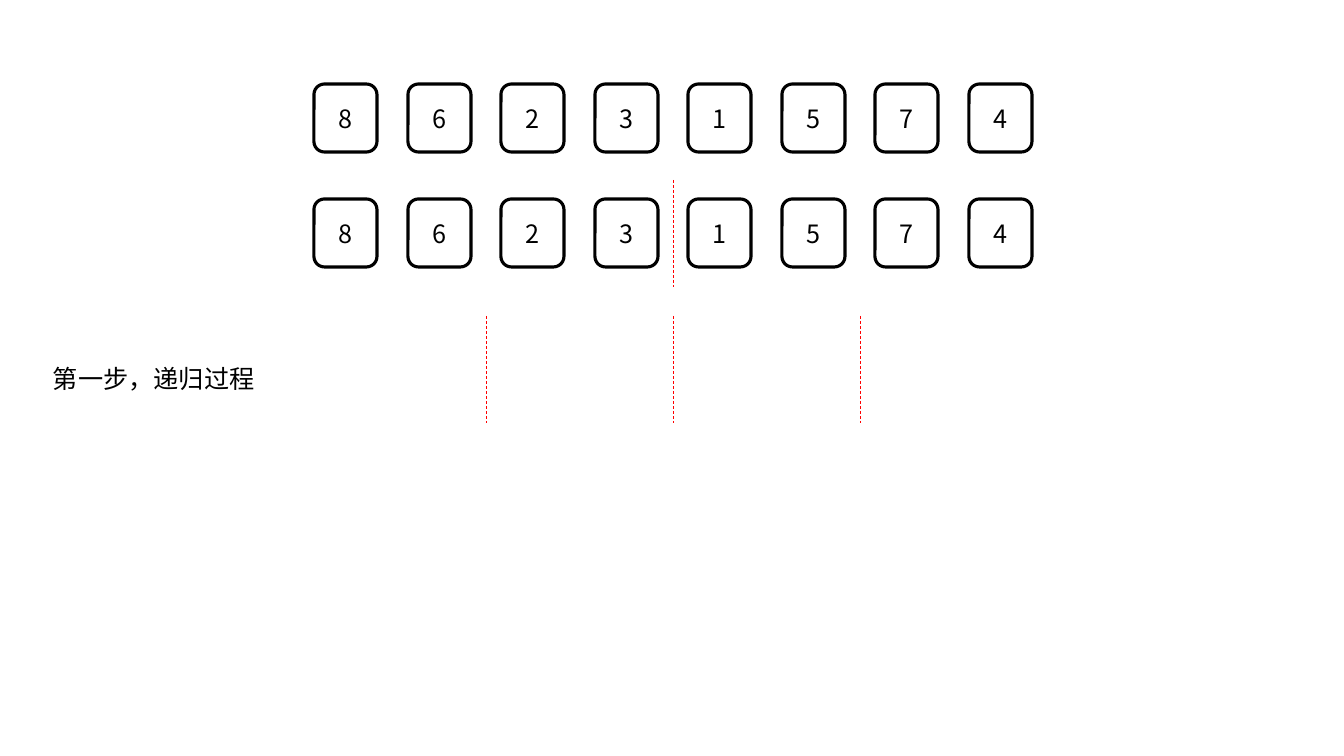
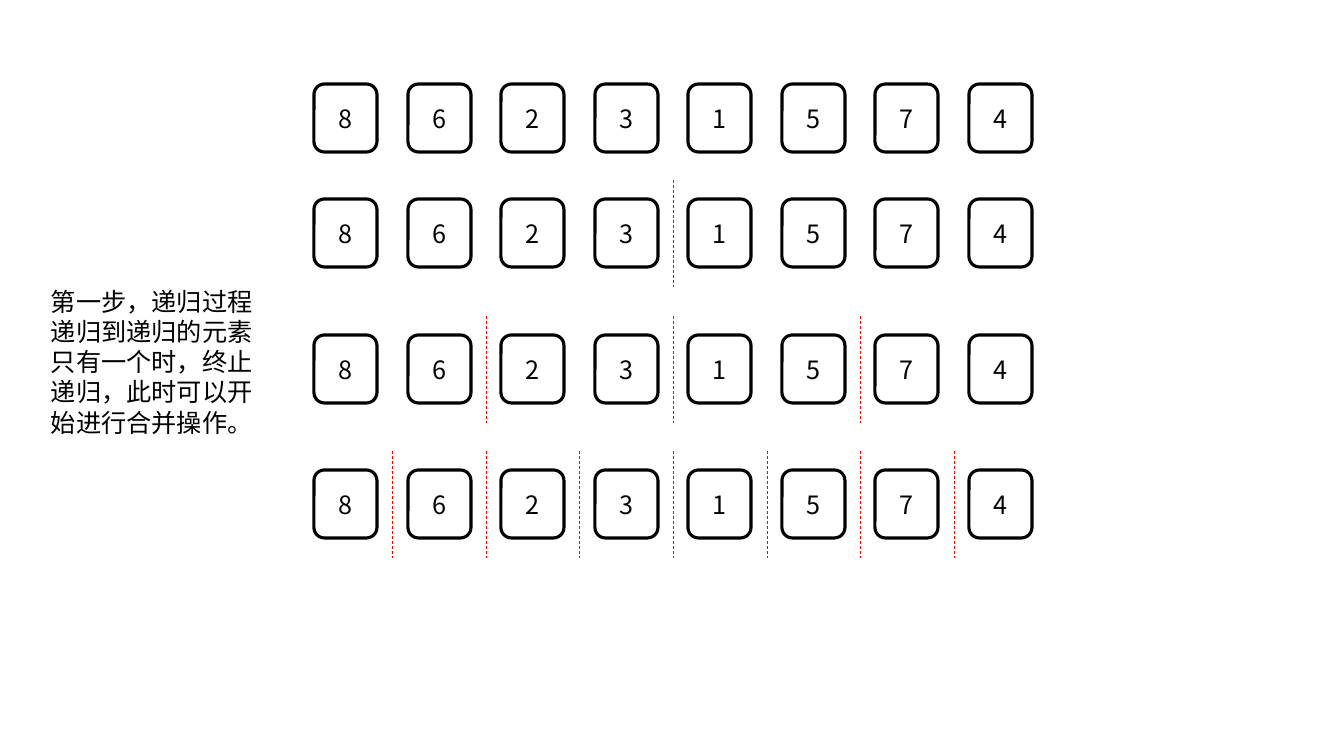
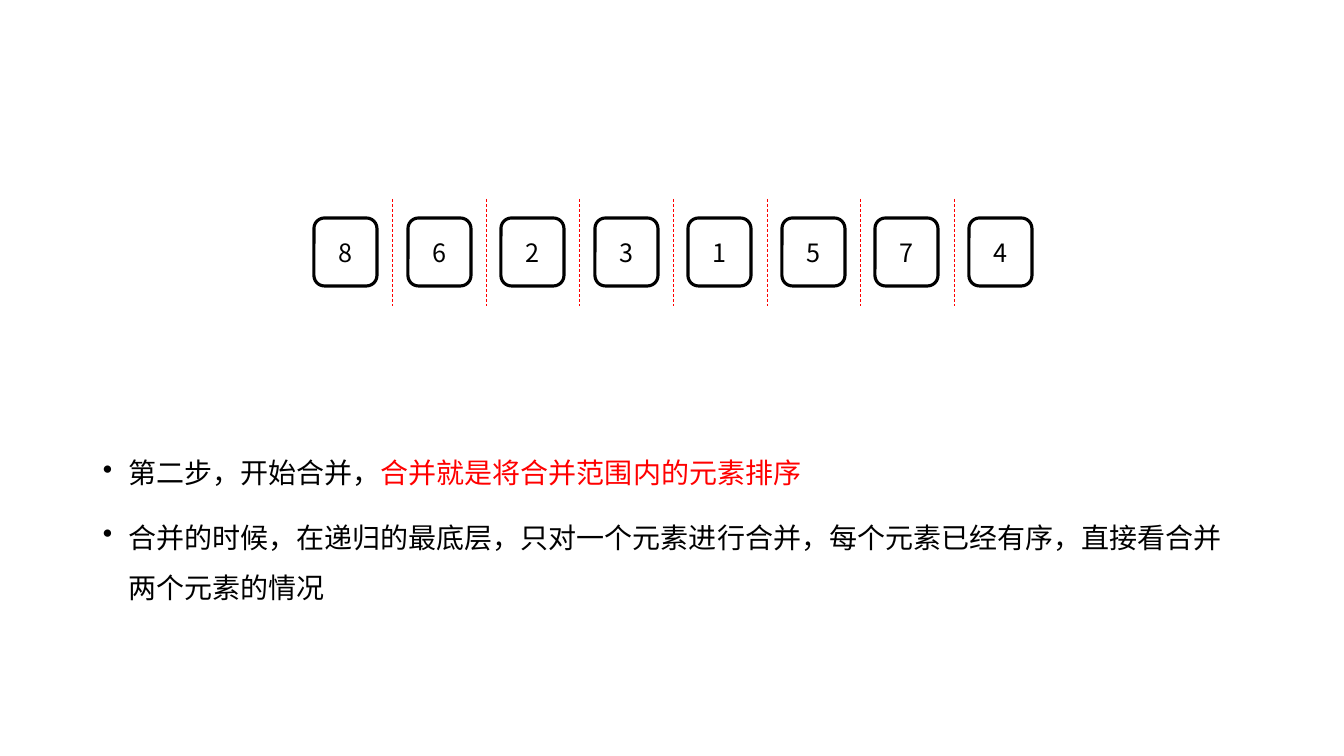
from lxml import etree
from pptx import Presentation
from pptx.dml.color import RGBColor
from pptx.enum.dml import MSO_LINE
from pptx.enum.shapes import MSO_CONNECTOR, MSO_SHAPE
from pptx.enum.text import MSO_ANCHOR, PP_ALIGN
from pptx.oxml.ns import qn
from pptx.util import Emu, Pt

ROUNDED = MSO_SHAPE.ROUNDED_RECTANGLE
STRAIGHT = MSO_CONNECTOR.STRAIGHT
DASH = MSO_LINE.DASH
MIDDLE = MSO_ANCHOR.MIDDLE
CENTER = PP_ALIGN.CENTER

# Shared style, lengths in px
WIDTH, HEIGHT = 1344, 756
EMU_PER_PX = 12192000 / WIDTH
FONT = "Noto Sans CJK SC"
COLORS = {"ink": "000000", "accent": "FF0000"}

# Array grid: eight boxes spread evenly between two edges
VALUES = "86231574"
BOX_W, BOX_H = 63, 68
ROW_LEFT, ROW_RIGHT = 314, 1032
PITCH = (ROW_RIGHT - ROW_LEFT - BOX_W) / (len(VALUES) - 1)
SPLIT_H = 107
ROW_TOPS = [84, 199, 335, 470]
HALVES, QUARTERS, SINGLES = [4], [2, 4, 6], range(1, len(VALUES))


def px(n):
    return Emu(round(n * EMU_PER_PX))


def rgb(name):
    return RGBColor.from_string(COLORS[name])


class Deck:
    def __init__(self):
        self.prs = Presentation()
        self.prs.slide_width, self.prs.slide_height = px(WIDTH), px(HEIGHT)
        self.s = None

    def slide(self):
        self.s = self.prs.slides.add_slide(self.prs.slide_layouts[6])

    def style(self, p, size):
        p.font.name, p.font.size = FONT, Pt(size)
        p.font.color.rgb = rgb("ink")

    def row(self, top):
        """One group of boxes holding the array."""
        group = self.s.shapes.add_group_shape()
        for i, value in enumerate(VALUES):
            left = round(ROW_LEFT + i * PITCH)
            sp = group.shapes.add_shape(ROUNDED, px(left), px(top), px(BOX_W), px(BOX_H))
            sp.shadow.inherit = False
            sp.fill.background()
            sp.line.color.rgb = rgb("ink")
            sp.line.width = Pt(2.25)
            tf = sp.text_frame
            tf.vertical_anchor = MIDDLE
            p = tf.paragraphs[0]
            p.text, p.alignment = value, CENTER
            self.style(p, 18)

    def splits(self, row_top, gaps):
        """Dashed lines centred in the gaps before the given box indexes."""
        top = row_top - (SPLIT_H - BOX_H) // 2
        for gap in gaps:
            x = round(ROW_LEFT + gap * PITCH - (PITCH - BOX_W) / 2)
            line = self.s.shapes.add_connector(STRAIGHT, px(x), px(top), px(x), px(top + SPLIT_H))
            line.line.color.rgb = rgb("accent")
            line.line.width = Pt(0.5)
            line.line.dash_style = DASH
            etree.SubElement(line._element.spPr, qn("a:effectLst"))

    def text(self, left, top, width, height, paragraphs, size=18, bullets=False):
        """Each paragraph is a list of (text, colour name) runs."""
        tf = self.s.shapes.add_textbox(px(left), px(top), px(width), px(height)).text_frame
        tf.word_wrap = True
        for i, runs in enumerate(paragraphs):
            p = tf.add_paragraph() if i else tf.paragraphs[0]
            self.style(p, size)
            for words, color in runs:
                r = p.add_run()
                r.text = words
                if color != "ink":
                    r.font.color.rgb = rgb(color)
            if bullets:
                self.bullet(p)

    def bullet(self, p):
        p.line_spacing, p.space_before = 1.5, Pt(10)
        pPr = p._p.get_or_add_pPr()
        pPr.set("marL", "228600")
        pPr.set("indent", "-228600")
        mark = etree.Element(qn("a:buChar"), char="•")
        pPr.find(qn("a:defRPr")).addprevious(mark)


def main():
    deck = Deck()
    first, second, third, fourth = ROW_TOPS
    step_one = [("第一步，递归过程", "ink")]

    # Slide 1: start of the recursion
    deck.slide()
    for top in (first, second):
        deck.row(top)
    deck.splits(second, HALVES)
    deck.splits(third, QUARTERS)
    deck.text(43, 358, 232, 40, [step_one])

    # Slide 2: recursion down to single elements
    deck.slide()
    for top in ROW_TOPS:
        deck.row(top)
    for top, gaps in ((second, HALVES), (third, QUARTERS), (fourth, SINGLES)):
        deck.splits(top, gaps)
    deck.text(41, 281, 229, 194, [
        step_one,
        [("递归到递归的元素只有一个时，终止递归，此时可以开始进行合并操作。", "ink")],
    ])

    # Slide 3: start of the merge
    deck.slide()
    merge_top = 218
    deck.row(merge_top)
    deck.splits(merge_top, SINGLES)
    deck.text(93, 434, 1159, 281, [
        [("第二步，开始合并，", "ink"), ("合并就是将合并范围内的元素排序", "accent")],
        [("合并的时候，在递归的最底层，只对一个元素进行合并，每个元素已经有序，"
          "直接看合并两个元素的情况", "ink")],
    ], size=20, bullets=True)

    deck.prs.save("out.pptx")


if __name__ == "__main__":
    main()
